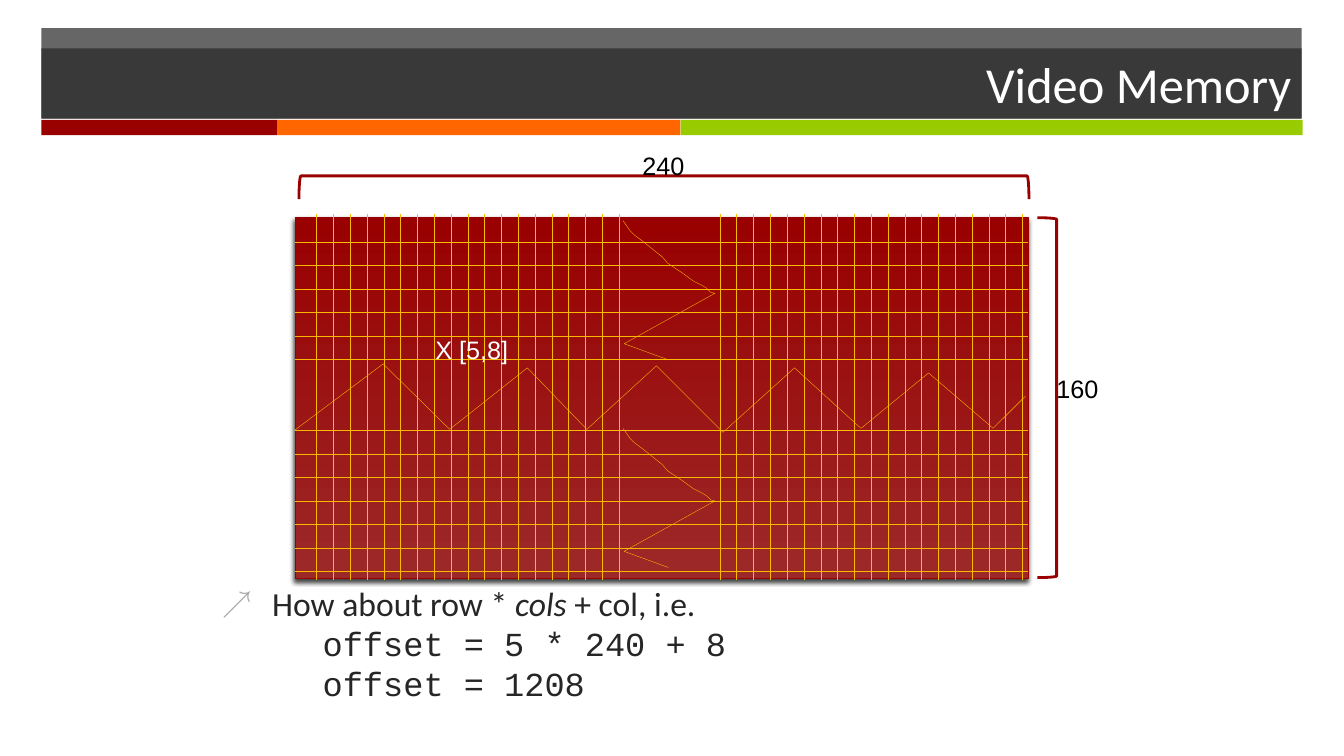
from dataclasses import dataclass

from lxml import etree
from pptx import Presentation
from pptx import util as u
from pptx.dml.color import RGBColor
from pptx.enum import shapes, text
from pptx.oxml.ns import qn
from pptx.util import Inches

CHARCOAL = RGBColor(0x26, 0x26, 0x26)
GREY = RGBColor(0xA6, 0xA6, 0xA6)
RED = RGBColor(0x99, 0x00, 0x00)
FADED_RED = RGBColor(0x9D, 0x28, 0x28)
EDGE_RED = RGBColor(0x96, 0x00, 0x00)
ORANGE = RGBColor(0xFF, 0x66, 0x00)
GREEN = RGBColor(0x99, 0xCC, 0x00)
YELLOW = RGBColor(0xFF, 0xBA, 0x00)
WHITE = RGBColor(0xFF, 0xFF, 0xFF)
BLACK = RGBColor(0x00, 0x00, 0x00)

RECTANGLE = shapes.MSO_SHAPE.RECTANGLE
Point = tuple[float, float]


@dataclass
class Stripe:
    left: float
    width: float
    color: RGBColor


@dataclass
class Bracket:
    left: float
    top: float
    width: float
    height: float
    rotation: int


@dataclass
class Label:
    words: str
    left: float
    top: float
    width: float
    color: RGBColor = BLACK
    align: text.PP_ALIGN = text.PP_ALIGN.LEFT


@dataclass
class GridRun:
    """Evenly spaced grid lines."""
    start: float
    step: float
    count: int

    def positions(self) -> list[float]:
        return [self.start + self.step * i for i in range(self.count)]


STRIPES = [Stripe(0.41, 2.34, RED), Stripe(2.75, 4, ORANGE), Stripe(6.75, 6.17, GREEN)]
BRACKETS = [Bracket(10.29, 2.16, 0.19, 3.57, 180), Bracket(6.47, -1.76, 0.23, 7.24, 90)]
LABELS = [
    Label("160", 10.38, 3.65, 1.04),
    Label("240", 6.06, 1.44, 1.04, align=text.PP_ALIGN.CENTER),
    Label("X [5,8]", 4.22, 3.27, 0.95, WHITE),
]
ROWS = [GridRun(2.4, 0.7 / 3, 6), GridRun(4.27, 0.7 / 3, 7)]
COLUMNS = [GridRun(3.14, 1 / 6, 19), GridRun(7.14, 1 / 6, 19)]
ROW_BREAK = [
    (2.92, 4.27), (3.8, 3.61), (4.46, 4.26), (5.23, 3.65), (5.82, 4.26), (6.51, 3.63),
    (7.17, 4.29), (7.88, 3.65), (8.54, 4.25), (9.21, 3.7), (9.85, 4.25), (10.17, 3.93),
]
COLUMN_BREAK = [
    (6.18, 2.19), (6.25, 2.29), (6.29, 2.33), (6.37, 2.39), (6.57, 2.55), (6.62, 2.61),
    (6.77, 2.71), (6.88, 2.79), (6.96, 2.83), (7.01, 2.86), (7.05, 2.9), (7.09, 2.91),
    (6.19, 3.41), (6.63, 3.57),
]
COLUMN_BREAK_DROP = 2.06


def place(shape, left: float, top: float, width: float, height: float) -> None:
    shape.left, shape.top = Inches(left), Inches(top)
    shape.width, shape.height = Inches(width), Inches(height)


def add_span(para, words: str, *, size: float, font: str, color: RGBColor,
             italic: bool = False) -> None:
    span = para.add_run()
    span.text = words
    span.font.size = u.Pt(size)
    span.font.name = font
    span.font.color.rgb = color
    span.font.italic = italic


def add_preset(parent, preset: shapes.MSO_SHAPE, left: float, top: float,
               width: float, height: float):
    shape = parent.add_shape(preset, Inches(left), Inches(top), Inches(width), Inches(height))
    shape.shadow.inherit = False
    return shape


def add_bar(parent, left: float, top: float, width: float, height: float, color: RGBColor):
    bar = add_preset(parent, RECTANGLE, left, top, width, height)
    bar.fill.solid()
    bar.fill.fore_color.rgb = color
    bar.line.fill.background()
    return bar


def set_alpha(element, percent: int) -> None:
    """Make the first colour inside the element partly transparent."""
    color = next(element.iter(qn("a:srgbClr")))
    etree.SubElement(color, qn("a:alpha"), val=str(percent * 1000))


def add_grid_line(parent, start: Point, end: Point) -> None:
    line = parent.add_connector(shapes.MSO_CONNECTOR.STRAIGHT,
                                *(Inches(value) for value in start + end))
    line.line.color.rgb = YELLOW
    line.line.width = u.Pt(0.25)
    etree.SubElement(line.element.spPr, qn("a:effectLst"))


def add_break_line(parent, points: list[Point], drop: float = 0) -> None:
    corners = [(Inches(x), Inches(y + drop)) for x, y in points]
    builder = parent.build_freeform(*corners[0])
    builder.add_line_segments(corners[1:], close=False)
    zigzag = builder.convert_to_shape()
    zigzag.shadow.inherit = False
    zigzag.fill.background()
    zigzag.line.color.rgb = YELLOW
    zigzag.line.width = u.Pt(0.25)


def add_bracket(parent, bracket: Bracket) -> None:
    shape = add_preset(parent, shapes.MSO_SHAPE.LEFT_BRACKET, bracket.left, bracket.top,
                       bracket.width, bracket.height)
    shape.rotation = bracket.rotation
    shape.fill.background()
    shape.line.color.rgb = RED
    shape.line.width = u.Pt(2)


def add_label(parent, label: Label) -> None:
    box = parent.add_textbox(Inches(label.left), Inches(label.top),
                             Inches(label.width), Inches(0.4))
    box.text_frame.word_wrap = True
    box.text_frame.auto_size = text.MSO_AUTO_SIZE.SHAPE_TO_FIT_TEXT
    para = box.text_frame.paragraphs[0]
    para.alignment = label.align
    add_span(para, label.words, size=18, font="Arial", color=label.color)


def add_screen(parent) -> None:
    screen = add_preset(parent, RECTANGLE, 2.93, 2.16, 7.27, 3.58)
    screen.fill.gradient()
    screen.fill.gradient_angle = 90
    for stop, color in zip(screen.fill.gradient_stops, (FADED_RED, RED)):
        stop.color.rgb = color
    screen.line.color.rgb = EDGE_RED
    screen.line.width = u.Pt(1)
    effects = screen.element.spPr.find(qn("a:effectLst"))
    shadow = etree.SubElement(effects, qn("a:outerShdw"), blurRad=str(u.Pt(3)),
                              dist=str(u.Pt(2)), dir=str(110 * 60000), rotWithShape="0")
    etree.SubElement(shadow, qn("a:srgbClr"), val=str(BLACK))
    set_alpha(shadow, 75)


def add_header(page) -> None:
    band = add_bar(page.shapes, 0.41, 0.28, 12.5, 0.89, CHARCOAL)
    set_alpha(band.element.spPr, 70)
    stripes = page.shapes.add_group_shape().shapes
    for stripe in STRIPES:
        add_bar(stripes, stripe.left, 1.19, stripe.width, 0.15, stripe.color)

    title = page.shapes.title
    place(title, 0.41, 0.48, 12.5, 0.7)
    title.fill.solid()
    title.fill.fore_color.rgb = CHARCOAL
    set_alpha(title.element.spPr, 70)
    title.text_frame.auto_size = text.MSO_AUTO_SIZE.NONE
    title.text_frame.vertical_anchor = text.MSO_ANCHOR.MIDDLE
    para = title.text_frame.paragraphs[0]
    para.alignment = text.PP_ALIGN.RIGHT
    add_span(para, "Video Memory", size=36, font="Calibri", color=WHITE)
    title.element.getparent().append(title.element)  # in front of the band


def fill_body(body) -> None:
    place(body, 2.1, 5.73, 9, 1.7)
    body.text_frame.auto_size = text.MSO_AUTO_SIZE.NONE
    para = body.text_frame.paragraphs[0]
    layout = para._p.get_or_add_pPr()
    layout.set("marL", str(Inches(0.5)))
    layout.set("indent", str(Inches(-0.5)))
    bullet_color = etree.SubElement(layout, qn("a:buClr"))
    etree.SubElement(bullet_color, qn("a:srgbClr"), val=str(GREY))
    etree.SubElement(layout, qn("a:buSzPct"), val="90000")
    etree.SubElement(layout, qn("a:buChar"), char="↗")
    para.space_before = u.Pt(0)
    for words, italic in (("How about row * ", False), ("cols", True), (" + col, i.e.", False)):
        add_span(para, words, size=24, font="Calibri", color=CHARCOAL, italic=italic)
    for code in ("offset = 5 * 240 + 8", "offset = 1208"):
        para.add_line_break()
        add_span(para, "\t" + code, size=24, font="Courier New", color=CHARCOAL)


def add_memory(page) -> None:
    memory = page.shapes.add_group_shape().shapes
    add_screen(memory)
    for run in ROWS:
        for y in run.positions():
            add_grid_line(memory, (2.93, y), (10.2, y))
    for run in COLUMNS:
        for x in run.positions():
            add_grid_line(memory, (x, 2.12), (x, 5.75))
    for bracket in BRACKETS:
        add_bracket(memory, bracket)
    for label in LABELS:
        add_label(memory, label)
    add_break_line(memory, ROW_BREAK)
    for drop in (0, COLUMN_BREAK_DROP):
        add_break_line(memory, COLUMN_BREAK, drop)


def main() -> None:
    deck = Presentation()
    deck.slide_width, deck.slide_height = Inches(13.33), Inches(7.5)
    page = deck.slides.add_slide(deck.slide_layouts[1])
    add_header(page)
    fill_body(page.placeholders[1])
    add_memory(page)
    deck.save("out.pptx")


if __name__ == "__main__":
    main()
